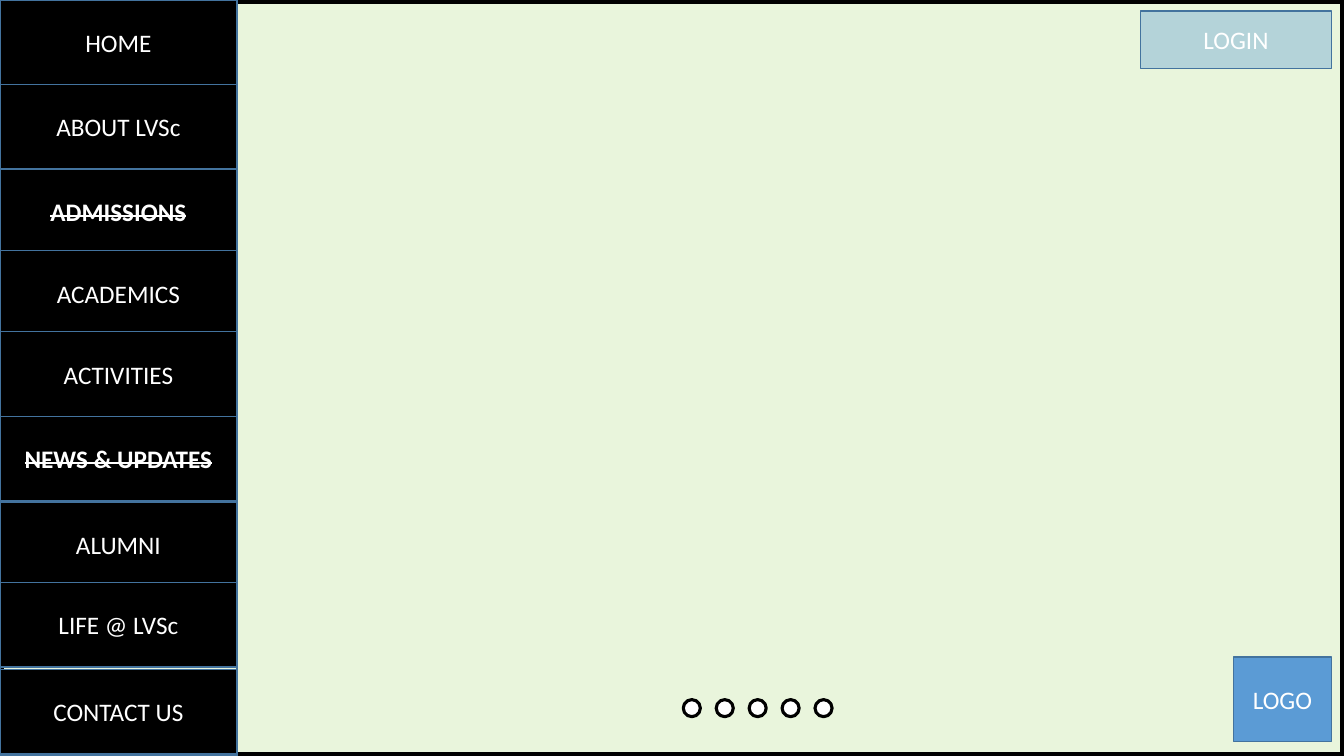
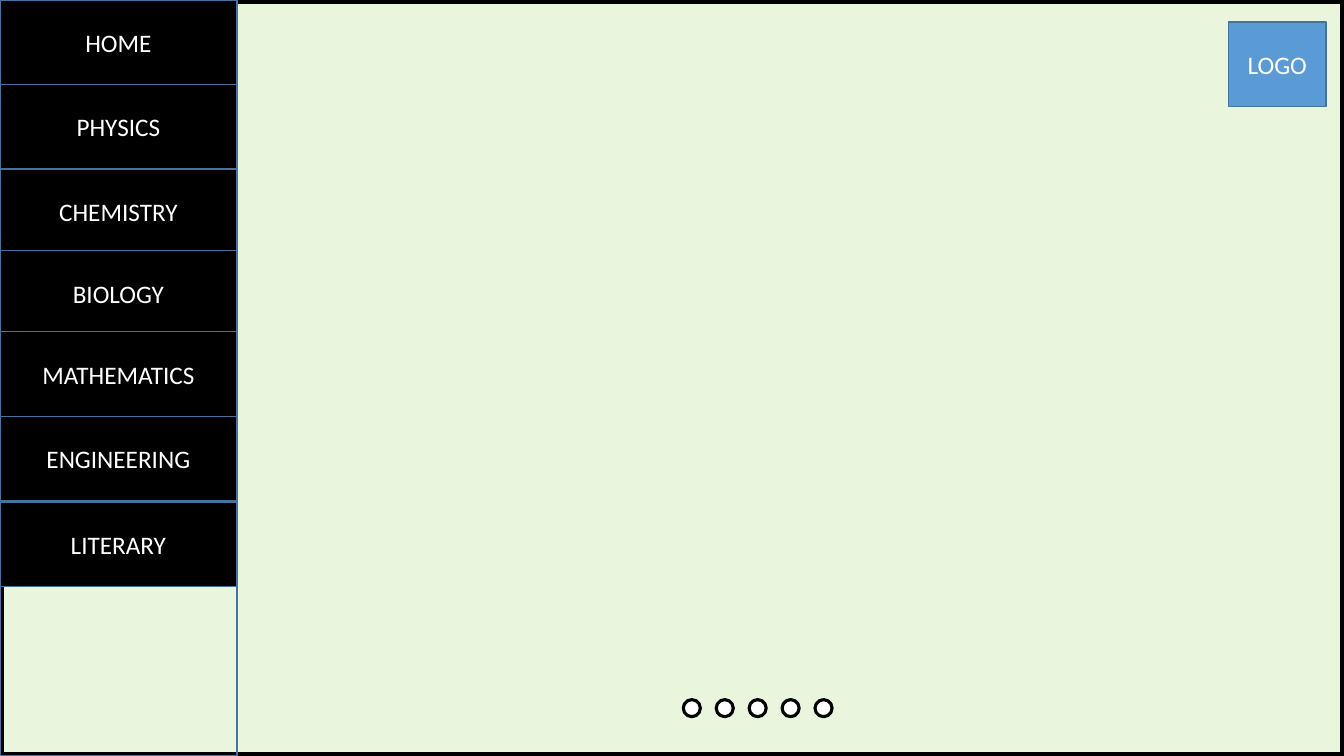
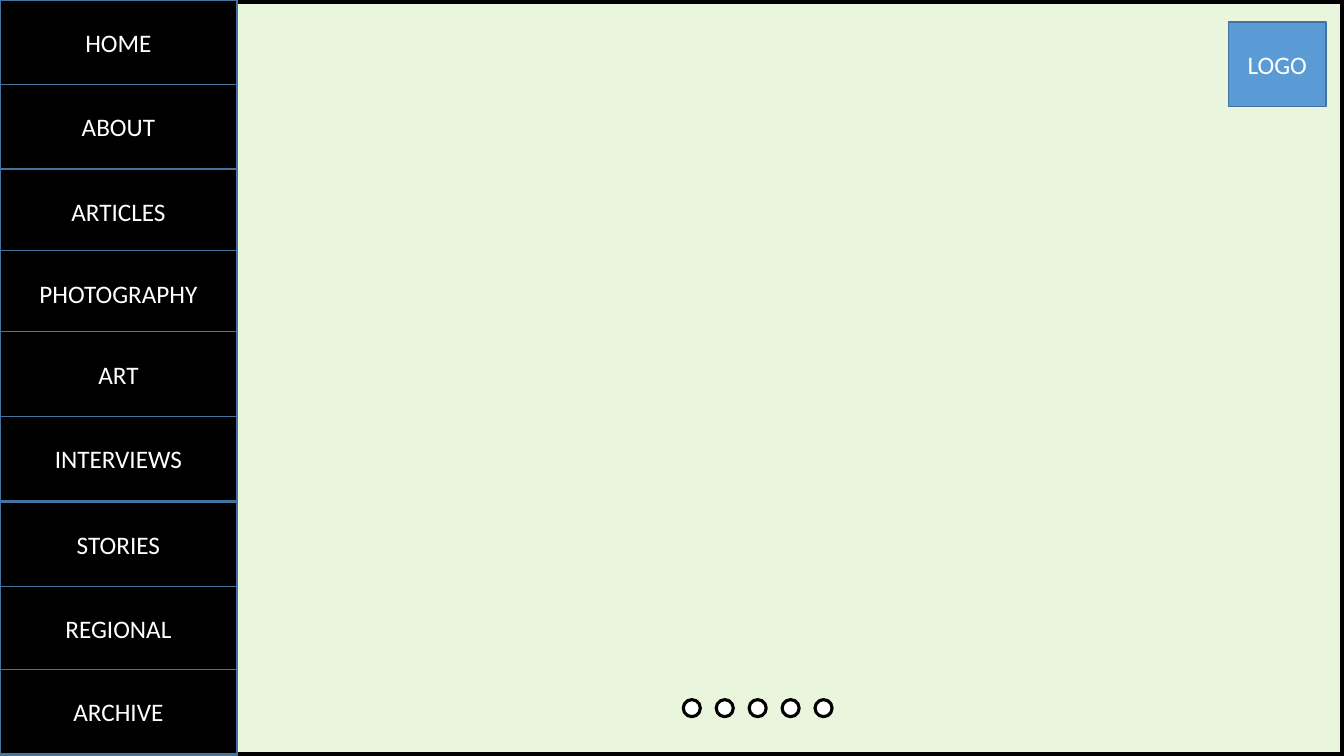
from lxml.etree import SubElement
from pptx import Presentation
from pptx.dml.color import RGBColor
from pptx.enum.shapes import MSO_SHAPE
from pptx.enum.text import MSO_ANCHOR, PP_ALIGN
from pptx.oxml.ns import qn
from pptx.util import Cm, Pt

COLORS = {
    "black": "000000",
    "white": "FFFFFF",
    "green": "92D050",
    "blue": "5B9BD5",
    "edge": "43739E",
}
FONT = "Calibri"
PAGE_WIDTH, PAGE_HEIGHT = 33.87, 19.05
MENU_WIDTH, ROW_HEIGHT = 5.97, 2.13
ROW_TOPS = [0, 2.13, 4.27, 6.32, 8.36, 10.49, 12.65, 14.78, 16.87]
CAMPUS_TOPS = ROW_TOPS[:7] + [14.68, 16.87]
DOT_COUNT, DOT_SIZE, DOT_PITCH = 5, 0.43, 0.83
DOT_LEFT, DOT_TOP = 17.22, 17.63
LOGO_WIDTH = 2.46

CAMPUS_MENU = ["HOME", "ABOUT LVSc", "ADMISSIONS", "ACADEMICS", "ACTIVITIES",
               "NEWS & UPDATES", "ALUMNI", "LIFE @ LVSc", "CONTACT US"]
SUBJECT_MENU = ["HOME", "PHYSICS", "CHEMISTRY", "BIOLOGY", "MATHEMATICS",
                "ENGINEERING", "LITERARY"]
MAGAZINE_MENU = ["HOME", "ABOUT", "ARTICLES", "PHOTOGRAPHY", "ART",
                 "INTERVIEWS", "STORIES", "REGIONAL", "ARCHIVE"]
STRUCK_LABELS = {"ADMISSIONS", "NEWS & UPDATES"}


def color(name):
    """Return the named palette colour."""
    return RGBColor.from_string(COLORS[name])


def add_box(shapes, left, top, width, height, fill=None, opacity=100,
            line="edge", weight=1, kind=MSO_SHAPE.RECTANGLE):
    """Add a preset shape, measured in centimetres, with its fill and outline."""
    box = shapes.add_shape(kind, Cm(left), Cm(top), Cm(width), Cm(height))
    box.shadow.inherit = False
    box.line.color.rgb = color(line)
    box.line.width = Pt(weight)
    if fill is None:
        box.fill.background()
        return box
    box.fill.solid()
    box.fill.fore_color.rgb = color(fill)
    if opacity < 100:
        solid = box.element.spPr.find(qn("a:solidFill"))
        alpha = SubElement(solid.find(qn("a:srgbClr")), qn("a:alpha"))
        alpha.set("val", str(opacity * 1000))
    return box


def write_text(box, text, size=18, ink="white", struck=False):
    """Centre a text in a box; a struck text is also bold."""
    frame = box.text_frame
    frame.word_wrap = True
    frame.vertical_anchor = MSO_ANCHOR.MIDDLE
    para = frame.paragraphs[0]
    para.alignment = PP_ALIGN.CENTER
    span = para.add_run()
    span.text = text
    span.font.name = FONT
    span.font.size = Pt(size)
    span.font.color.rgb = color(ink)
    if struck:
        span.font.bold = True
        span._r.get_or_add_rPr().set("strike", "sngStrike")


def add_dots(page):
    """Add the grouped row of carousel dots."""
    group = page.shapes.add_group_shape()
    for index in range(DOT_COUNT):
        add_box(group.shapes, DOT_LEFT + index * DOT_PITCH, DOT_TOP,
                DOT_SIZE, DOT_SIZE, fill="white", line="black", weight=2.25,
                kind=MSO_SHAPE.OVAL)


def add_menu(page, labels, tops):
    """Add the grouped column of menu buttons."""
    group = page.shapes.add_group_shape()
    for label, top in zip(labels, tops):
        button = add_box(group.shapes, 0, top, MENU_WIDTH, ROW_HEIGHT,
                         fill="black")
        write_text(button, label, struck=label in STRUCK_LABELS)


def add_button(page, text, left, top, width, height=ROW_HEIGHT, opacity=100):
    """Add a labelled blue button."""
    button = add_box(page.shapes, left, top, width, height, fill="blue",
                     opacity=opacity)
    write_text(button, text)


def add_page(deck, labels, tops=ROW_TOPS):
    """Add a slide with the shared frame, sidebar, dots and menu."""
    page = deck.slides.add_slide(deck.slide_layouts[6])
    add_box(page.shapes, 0, 0, PAGE_WIDTH, PAGE_HEIGHT, fill="green",
            opacity=20, line="black", weight=6)
    add_box(page.shapes, 0, 0, MENU_WIDTH, PAGE_HEIGHT)
    add_dots(page)
    add_menu(page, labels, tops)
    return page


def main():
    """Build and save the three slides."""
    deck = Presentation()
    deck.slide_width = Cm(PAGE_WIDTH)
    deck.slide_height = Cm(PAGE_HEIGHT)

    campus = add_page(deck, CAMPUS_MENU, CAMPUS_TOPS)
    add_button(campus, "LOGIN", 28.75, 0.28, 4.8, height=1.45, opacity=37)
    add_button(campus, "LOGO", 31.09, 16.56, LOGO_WIDTH)

    for labels in (SUBJECT_MENU, MAGAZINE_MENU):
        page = add_page(deck, labels)
        add_button(page, "LOGO", 30.96, 0.56, LOGO_WIDTH)

    deck.save("out.pptx")


main()
